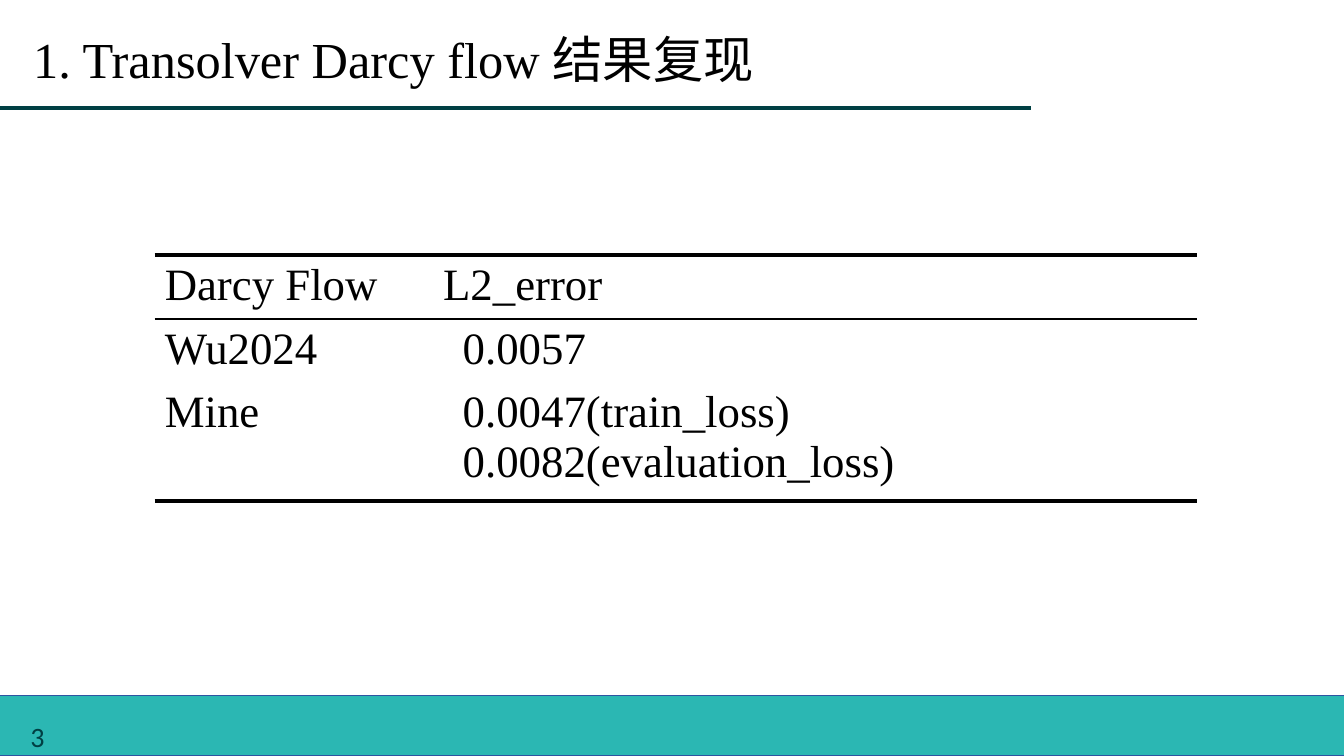
from lxml import etree
from pptx import Presentation, util as u
from pptx.dml.color import RGBColor
from pptx.enum import shapes, text
from pptx.oxml import ns

COLORS = {"teal": "2BB7B3", "edge": "2E54A1", "dark": "003F43", "black": "000000"}
SERIF = "Times New Roman"


class SlideBuilder:
    def __init__(self, slide):
        self.slide = slide

    def color(self, name):
        return RGBColor.from_string(COLORS[name])

    def format_text(self, frame, size, font=SERIF, color="black", align=text.PP_ALIGN.LEFT):
        for paragraph in frame.paragraphs:
            paragraph.alignment = align
            paragraph.font.size = u.Pt(size)
            paragraph.font.name = font
            paragraph.font.color.rgb = self.color(color)

    def band(self, left, top, width, height):
        shape = self.slide.shapes.add_shape(
            shapes.MSO_SHAPE.RECTANGLE, u.Pt(left), u.Pt(top), u.Pt(width), u.Pt(height))
        shape.shadow.inherit = False
        shape.fill.solid()
        shape.fill.fore_color.rgb = self.color("teal")
        shape.line.color.rgb = self.color("edge")
        shape.line.width = u.Pt(1)

    def rule(self, left, top, right):
        connector = self.slide.shapes.add_connector(
            shapes.MSO_CONNECTOR.STRAIGHT, u.Pt(left), u.Pt(top), u.Pt(right), u.Pt(top))
        connector.line.color.rgb = self.color("dark")
        connector.line.width = u.Pt(2.5)
        etree.SubElement(connector._element.spPr, ns.qn("a:effectLst"))

    def title(self, words, left, top, width, height):
        shape = self.slide.shapes.title
        shape.left, shape.top = u.Pt(left), u.Pt(top)
        shape.width, shape.height = u.Pt(width), u.Pt(height)
        frame = shape.text_frame
        frame.text = words
        frame.word_wrap = True
        frame.vertical_anchor = text.MSO_ANCHOR.TOP
        frame.auto_size = text.MSO_AUTO_SIZE.SHAPE_TO_FIT_TEXT
        self.format_text(frame, 36)

    def page_number(self, number, left, top, width, height):
        box = self.slide.shapes.add_textbox(u.Pt(left), u.Pt(top), u.Pt(width), u.Pt(height))
        frame = box.text_frame
        frame.text = number
        frame.word_wrap = True
        frame.vertical_anchor = text.MSO_ANCHOR.MIDDLE
        self.format_text(frame, 20, "Calibri", "dark", text.PP_ALIGN.RIGHT)

    def cell_borders(self, cell, widths):
        properties = cell._tc.get_or_add_tcPr()
        for index, side in enumerate("LRTB"):
            border = etree.Element(ns.qn(f"a:ln{side}"))
            if side in widths:
                border.set("w", str(u.Pt(widths[side])))
                fill = etree.SubElement(border, ns.qn("a:solidFill"))
                etree.SubElement(fill, ns.qn("a:srgbClr"), val=COLORS["black"])
            else:
                etree.SubElement(border, ns.qn("a:noFill"))
            properties.insert(index, border)

    def table(self, rows, merges, borders, left, top, widths, heights):
        table = self.slide.shapes.add_table(
            len(heights), len(widths), u.Pt(left), u.Pt(top),
            u.Pt(sum(widths)), u.Pt(sum(heights))).table
        table.first_row = table.horz_banding = False
        for column, width in zip(table.columns, widths):
            column.width = u.Pt(width)
        for row, height in zip(table.rows, heights):
            row.height = u.Pt(height)
        for row, (first, last) in enumerate(merges):
            table.cell(row, first).merge(table.cell(row, last))
        for row, entries in enumerate(rows):
            for column, words in enumerate(entries):
                cell = table.cell(row, column)
                cell.fill.background()
                self.cell_borders(cell, borders[row])
                if words:
                    cell.text = words
                    self.format_text(cell.text_frame, 32)
                if words and column == 2:
                    cell.margin_left = u.Pt(12)


def main():
    presentation = Presentation()
    presentation.slide_width, presentation.slide_height = u.Pt(960), u.Pt(540)
    builder = SlideBuilder(presentation.slides.add_slide(presentation.slide_layouts[5]))
    builder.band(-0.72, 496.8, 968.4, 43.2)
    builder.rule(0, 77, 736.6)
    builder.page_number("3", -0.72, 511.2, 39.6, 28.8)
    builder.title("1. Transolver Darcy flow 结果复现", 16.5, 16.5, 697.7, 51)
    builder.table(
        rows=[["Darcy Flow", " L2_error", ""],
              ["Wu2024", "", "0.0057"],
              ["Mine", "", "0.0047(train_loss)\n0.0082(evaluation_loss)"]],
        merges=[(1, 2), (0, 1), (0, 1)],
        borders=[{"T": 3, "B": 1}, {"T": 1}, {"B": 3}],
        left=110.5, top=182.2,
        widths=[190.8, 12.2, 536.4], heights=[45.4, 45.4, 84.2])
    presentation.save("out.pptx")


if __name__ == "__main__":
    main()
